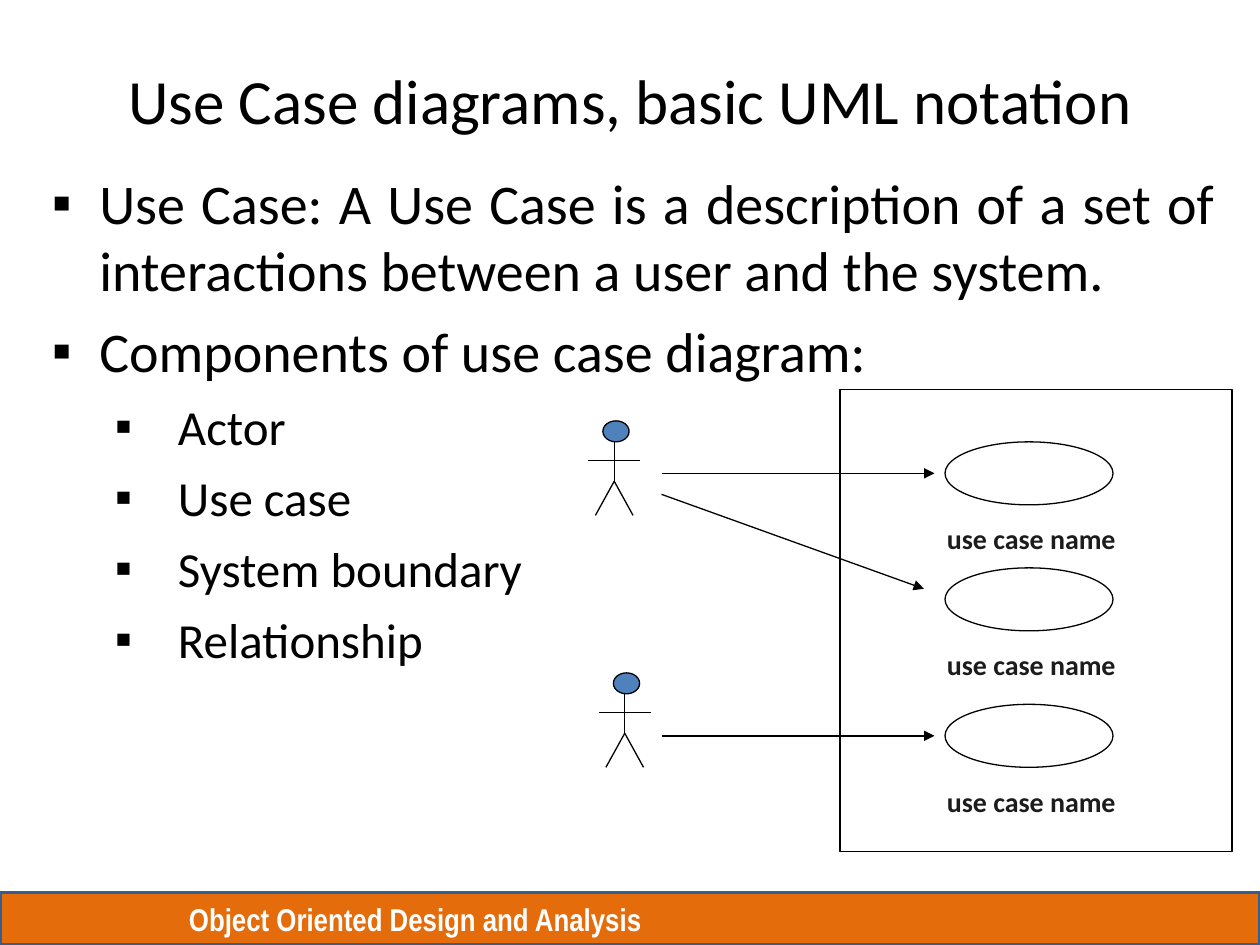
from lxml import etree
from pptx import Presentation
from pptx.dml.color import RGBColor
from pptx.enum import shapes, text
from pptx.oxml.ns import qn
from pptx.util import Pt

BLACK = RGBColor(0x00, 0x00, 0x00)
WHITE = RGBColor(0xFF, 0xFF, 0xFF)
DARK = RGBColor(0x1C, 0x1C, 0x1C)
BLUE = RGBColor(0x4F, 0x81, 0xBD)
NAVY = RGBColor(0x38, 0x5D, 0x8A)
ORANGE = RGBColor(0xE4, 0x6C, 0x0A)

BOX = shapes.MSO_SHAPE.RECTANGLE
OVAL = shapes.MSO_SHAPE.OVAL
LEFT = text.PP_ALIGN.LEFT


def write(par, words, size, font="Calibri", color=BLACK, bold=False,
          align=LEFT, before=0):
    """Fill a paragraph with one formatted run."""
    par.alignment = align
    par.space_before = Pt(before)
    run = par.add_run()
    run.text = words
    run.font.size = Pt(size)
    run.font.name = font
    run.font.bold = bold
    run.font.color.rgb = color


def place(item, left, top, width, height):
    item.left, item.top = Pt(left), Pt(top)
    item.width, item.height = Pt(width), Pt(height)


def draw(parent, kind, left, top, width, height, fill=None, line=BLACK,
         weight=0.75):
    """Add a preset shape, hollow when no fill is given."""
    item = parent.add_shape(kind, Pt(left), Pt(top), Pt(width), Pt(height))
    item.shadow.inherit = False
    if fill is None:
        item.fill.background()
    else:
        item.fill.solid()
        item.fill.fore_color.rgb = fill
    item.line.color.rgb = line
    item.line.width = Pt(weight)
    return item


def link(parent, x1, y1, x2, y2, arrow=False):
    """Add a thin straight line, with an optional arrowhead at its end."""
    item = parent.add_connector(shapes.MSO_CONNECTOR.STRAIGHT,
                                Pt(x1), Pt(y1), Pt(x2), Pt(y2))
    item.line.color.rgb = BLACK
    item.line.width = Pt(0.75)
    if arrow:
        etree.SubElement(item.line._get_or_add_ln(), qn("a:tailEnd"),
                         type="triangle")
    etree.SubElement(item._element.spPr, qn("a:effectLst"))


def bullet(par, margin, hang):
    """Give a paragraph a square bullet and a hanging indent."""
    props = par._p.get_or_add_pPr()
    props.set("marL", str(Pt(margin)))
    props.set("indent", str(-Pt(hang)))
    tint = etree.SubElement(props, qn("a:buClr"))
    etree.SubElement(tint, qn("a:srgbClr"), val=str(BLACK))
    etree.SubElement(props, qn("a:buFont"), typeface="Arial")
    etree.SubElement(props, qn("a:buChar"), char="▪")


def actor(slide, mid, top):
    """Draw a stick figure around the vertical line at mid."""
    parts = slide.shapes.add_group_shape().shapes
    draw(parts, OVAL, mid - 6.5, top, 15, 12, fill=BLUE)
    hip = top + 34.5
    link(parts, mid, top + 12, mid, hip)
    link(parts, mid - 15, top + 22.5, mid + 15, top + 22.5)
    for side in (-1, 1):
        link(parts, mid, hip, mid + side * 10.75, top + 54)


def case(slide, top):
    """Draw a use case oval with its name below."""
    draw(slide.shapes, OVAL, 540, top, 96, 36, fill=WHITE)
    label = slide.shapes.add_textbox(Pt(534), Pt(top + 42), Pt(111), Pt(26.5))
    label.text_frame.word_wrap = False
    write(label.text_frame.paragraphs[0], "use case name", 16, color=DARK,
          bold=True)


def footer(slide):
    bar = draw(slide.shapes, BOX, 0, 510, 720, 30, fill=ORANGE, line=NAVY,
               weight=2)
    frame = bar.text_frame
    frame.margin_left = Pt(108)
    frame.vertical_anchor = text.MSO_ANCHOR.MIDDLE
    write(frame.paragraphs[0], "Object Oriented Design and Analysis", 18,
          font="Arial Narrow", color=WHITE, bold=True)


def heading(slide):
    title = slide.shapes.title
    place(title, 36, 12, 648, 90)
    title.text_frame.vertical_anchor = text.MSO_ANCHOR.MIDDLE
    write(title.text_frame.paragraphs[0],
          "Use Case diagrams, basic UML notation", 36,
          align=text.PP_ALIGN.CENTER)


def listing(slide):
    body = slide.placeholders[1]
    place(body, 22.5, 92.5, 679.5, 404.5)
    frame = body.text_frame
    frame.auto_size = text.MSO_AUTO_SIZE.NONE
    items = [
        (0, "Use Case: A Use Case is a description of a set of interactions "
            "between a user and the system."),
        (0, "Components of use case diagram:"),
        (1, "Actor"),
        (1, "Use case"),
        (1, "System boundary"),
        (1, "Relationship"),
    ]
    for num, (level, words) in enumerate(items):
        par = frame.add_paragraph() if num else frame.paragraphs[0]
        par.level = level
        write(par, words, 28 if level else 32, before=7 if level else 8,
              align=LEFT if num else text.PP_ALIGN.JUSTIFY)
        if level:
            bullet(par, 72, 36)
        else:
            bullet(par, 27, 27)


def diagram(slide):
    # System boundary and use cases
    draw(slide.shapes, BOX, 480, 222.5, 224, 264)
    for top in (252.5, 324.5, 402.5):
        case(slide, top)

    # Actors
    actor(slide, 351, 240.5)
    actor(slide, 357, 384.5)

    # Relationships
    for y1, x2, y2 in ((270.5, 534, 270.5), (282.5, 528, 336.5),
                       (420.5, 534, 420.5)):
        link(slide.shapes, 378, y1, x2, y2, arrow=True)


def main():
    deck = Presentation()
    deck.slide_width, deck.slide_height = Pt(720), Pt(540)
    slide = deck.slides.add_slide(deck.slide_layouts[1])
    footer(slide)
    heading(slide)
    listing(slide)
    diagram(slide)
    deck.save("out.pptx")


if __name__ == "__main__":
    main()
